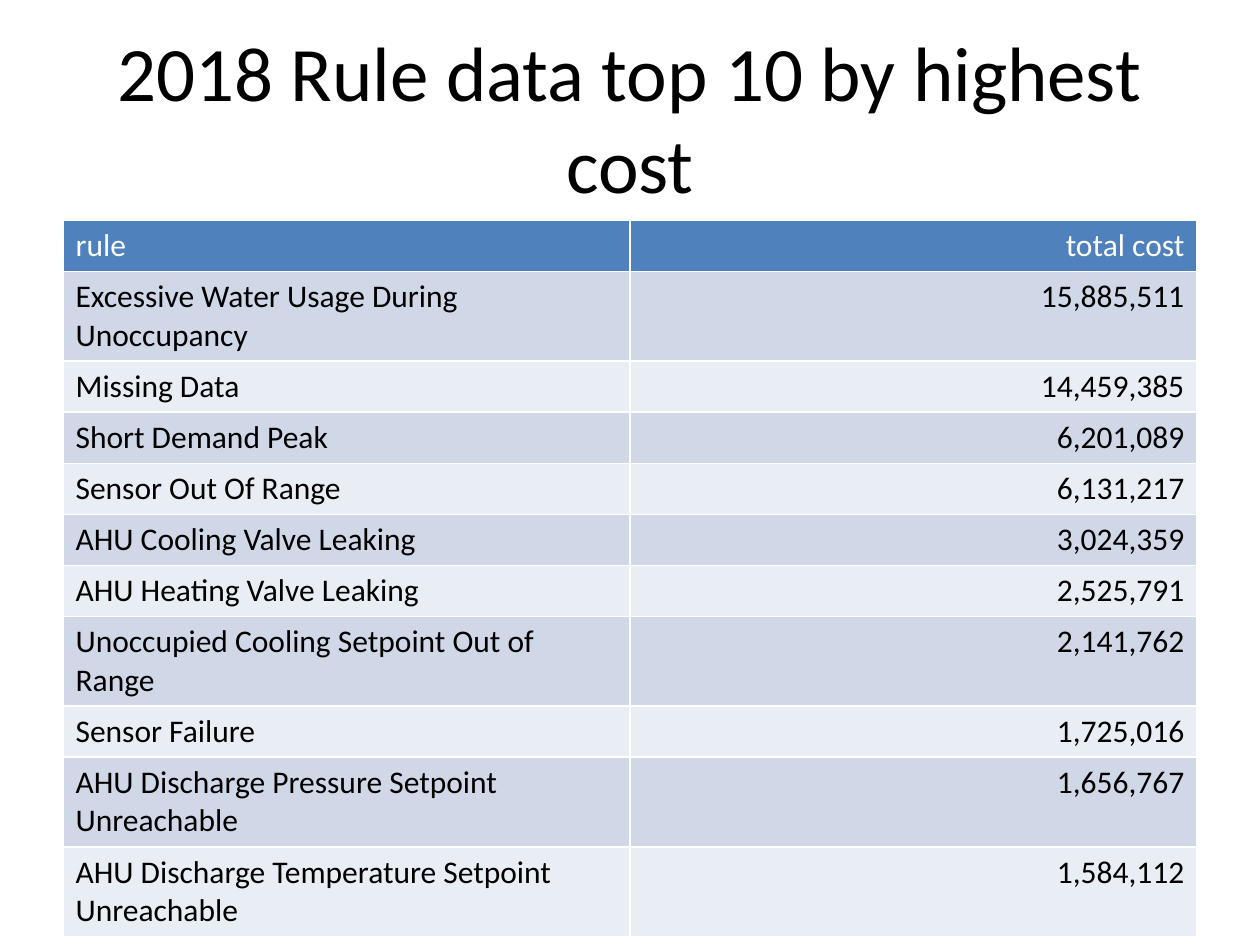
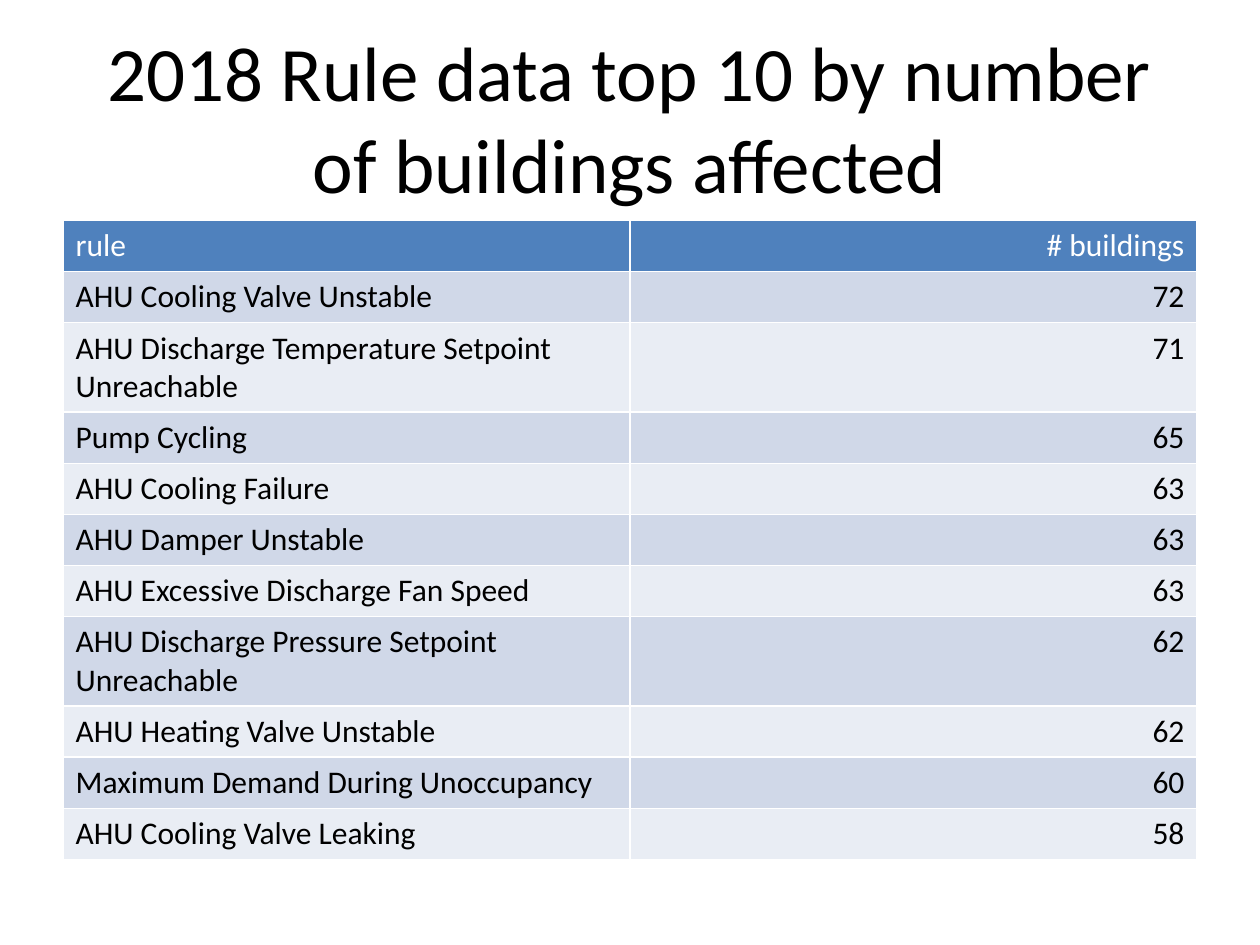
from dataclasses import dataclass

from lxml.etree import SubElement
from pptx import Presentation
from pptx.dml.color import RGBColor
from pptx.enum.text import MSO_ANCHOR, MSO_AUTO_SIZE, PP_ALIGN
from pptx.oxml.ns import qn
from pptx.util import Inches, Pt


@dataclass(frozen=True)
class Theme:
    """Colours, type and the shared slide grid (inches)."""
    font: str = "Calibri"
    title_size: int = 44
    table_size: int = 18
    ink: str = "000000"
    paper: str = "FFFFFF"
    header: str = "4F81BD"
    bands: tuple = ("D0D8E8", "E9EDF4")
    width: float = 10
    height: float = 7.5
    margin: float = 0.5
    title_top: float = 0.3
    title_height: float = 1.25
    table_top: float = 1.75
    row_height: float = 0.4
    border: float = 1

    @property
    def content_width(self):
        """Width between the side margins."""
        return self.width - 2 * self.margin


THEME = Theme()

RANKINGS = [
    ("2018 Rule data top 10 by highest cost", "total cost", [
        ("Excessive Water Usage During Unoccupancy", 15885511),
        ("Missing Data", 14459385),
        ("Short Demand Peak", 6201089),
        ("Sensor Out Of Range", 6131217),
        ("AHU Cooling Valve Leaking", 3024359),
        ("AHU Heating Valve Leaking", 2525791),
        ("Unoccupied Cooling Setpoint Out of Range", 2141762),
        ("Sensor Failure", 1725016),
        ("AHU Discharge Pressure Setpoint Unreachable", 1656767),
        ("AHU Discharge Temperature Setpoint Unreachable", 1584112),
    ]),
    ("2018 Rule data top 10 by number of buildings affected", "# buildings", [
        ("AHU Cooling Valve Unstable", 72),
        ("AHU Discharge Temperature Setpoint Unreachable", 71),
        ("Pump Cycling", 65),
        ("AHU Cooling Failure", 63),
        ("AHU Damper Unstable", 63),
        ("AHU Excessive Discharge Fan Speed", 63),
        ("AHU Discharge Pressure Setpoint Unreachable", 62),
        ("AHU Heating Valve Unstable", 62),
        ("Maximum Demand During Unoccupancy", 60),
        ("AHU Cooling Valve Leaking", 58),
    ]),
]


def write(frame, text, size, colour, align):
    """Put one styled paragraph into a text frame."""
    frame.text = text
    paragraph = frame.paragraphs[0]
    paragraph.alignment = align
    font = paragraph.runs[0].font
    font.name, font.size, font.bold = THEME.font, Pt(size), False
    font.color.rgb = RGBColor.from_string(colour)


def add_title(slide, text):
    """Add the centred slide title."""
    title = slide.shapes.add_textbox(
        Inches(THEME.margin), Inches(THEME.title_top),
        Inches(THEME.content_width), Inches(THEME.title_height))
    frame = title.text_frame
    frame.word_wrap = True
    frame.auto_size = MSO_AUTO_SIZE.NONE
    frame.vertical_anchor = MSO_ANCHOR.MIDDLE
    write(frame, text, THEME.title_size, THEME.ink, PP_ALIGN.CENTER)


def outline_cell(cell):
    """Draw the thin light border on all four sides of a cell."""
    properties = cell._tc.get_or_add_tcPr()
    for index, side in enumerate(("a:lnL", "a:lnR", "a:lnT", "a:lnB")):
        line = SubElement(properties, qn(side), w=str(Pt(THEME.border)))
        fill = SubElement(line, qn("a:solidFill"))
        SubElement(fill, qn("a:srgbClr"), val=THEME.paper)
        properties.insert(index, line)


def add_ranking(slide, measure, ranking):
    """Add a banded table of rules and their values."""
    rows = [("rule", measure)] + [(rule, f"{value:,}") for rule, value in ranking]
    table = slide.shapes.add_table(
        len(rows), 2, Inches(THEME.margin), Inches(THEME.table_top),
        Inches(THEME.content_width), Inches(THEME.row_height * len(rows))).table
    table.horz_banding = False
    for row, entries in enumerate(rows):
        is_header = row == 0
        fill = THEME.header if is_header else THEME.bands[(row - 1) % 2]
        colour = THEME.paper if is_header else THEME.ink
        for column, text in enumerate(entries):
            cell = table.cell(row, column)
            cell.fill.solid()
            cell.fill.fore_color.rgb = RGBColor.from_string(fill)
            outline_cell(cell)
            align = PP_ALIGN.RIGHT if column else PP_ALIGN.LEFT
            write(cell.text_frame, text, THEME.table_size, colour, align)


def main():
    """Build one slide for each ranking."""
    deck = Presentation()
    deck.slide_width = Inches(THEME.width)
    deck.slide_height = Inches(THEME.height)
    for title, measure, ranking in RANKINGS:
        slide = deck.slides.add_slide(deck.slide_layouts[6])
        add_title(slide, title)
        add_ranking(slide, measure, ranking)
    deck.save("out.pptx")


main()
